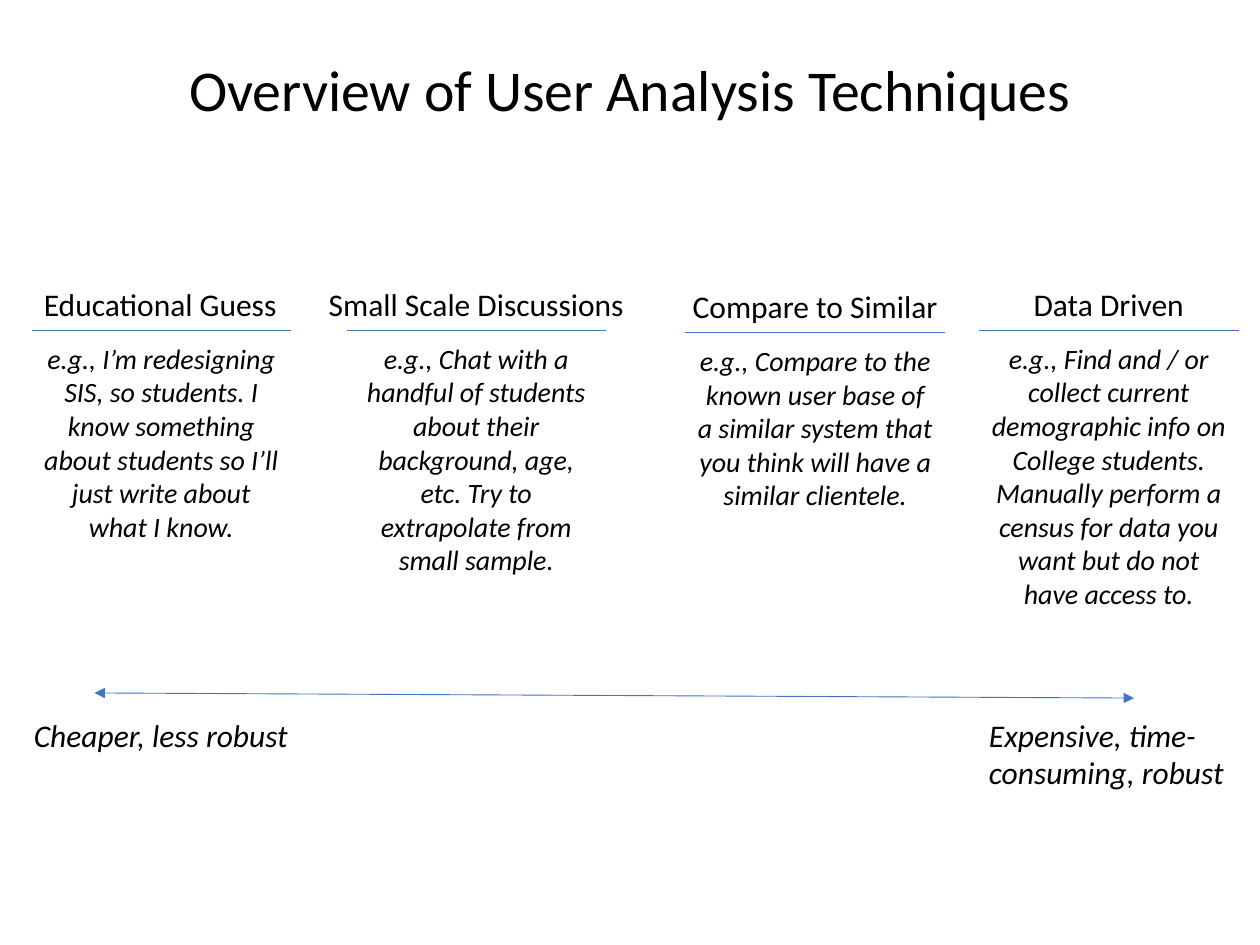
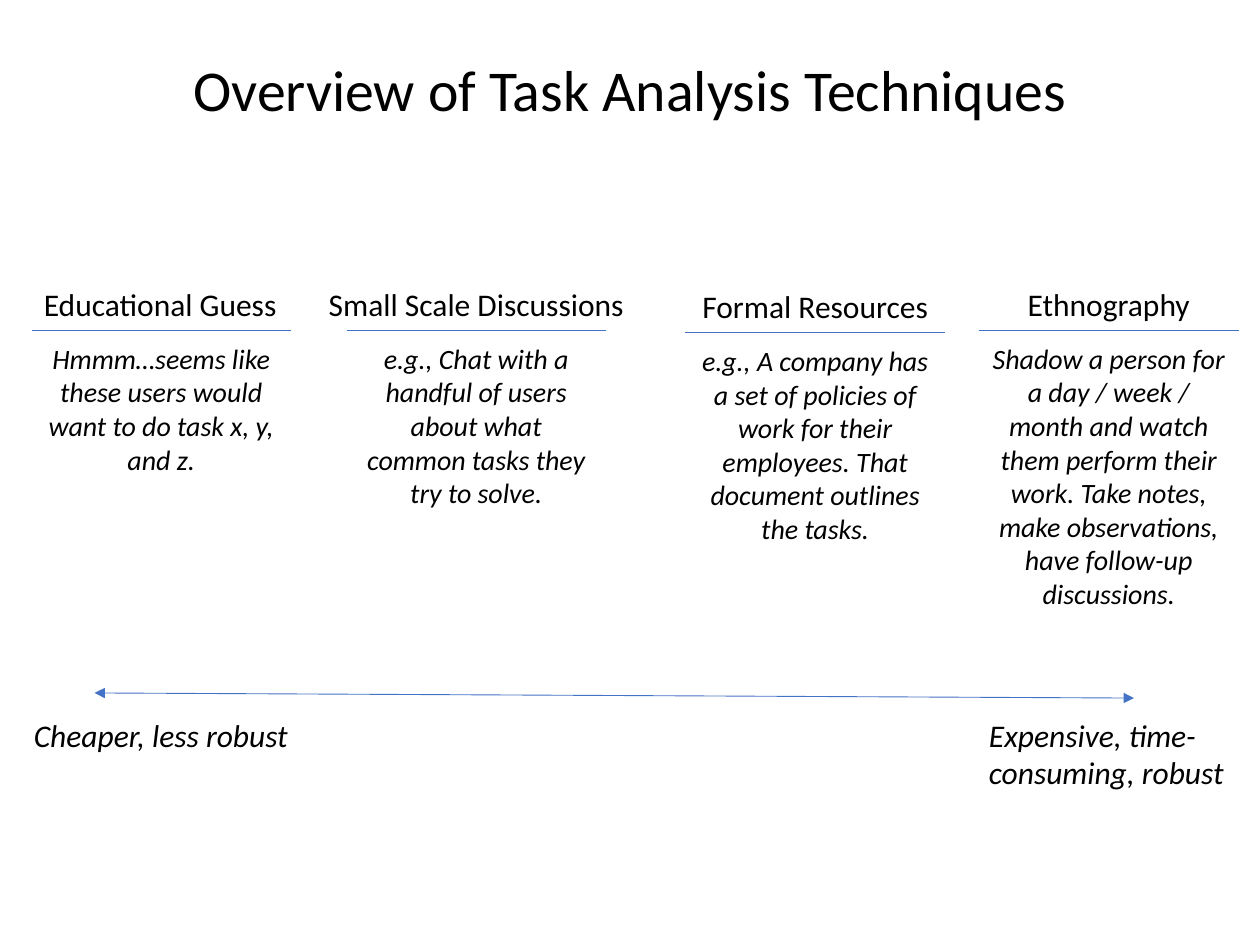
from lxml.etree import SubElement as Sub
from pptx import Presentation
from pptx.dml.color import RGBColor as Rgb
from pptx.enum.shapes import MSO_CONNECTOR as Link
from pptx.enum.text import MSO_ANCHOR as Anchor, MSO_AUTO_SIZE as Auto, PP_ALIGN as Align
from pptx.oxml.ns import qn
from pptx.util import Inches, Pt

WIDE, HIGH = Inches(10), Inches(7.5)
FONT = "Calibri"
HUES = {"text": "000000", "line": "4472C4", "back": "FFFFFF"}

# All lengths are percentages of the slide's width or height.
COL = 20.6
HEAD_Y, RULE_Y, BODY_Y = 29.47, 34.93, 35.47
PAD, ROW = 1.33, 3.6
COLUMNS = [
    {"left": 2.5, "side": Align.LEFT},
    {"left": 27.5, "extra": 2.5},
    {"left": 54.4, "extra": 2.5, "drop": 0.24},
    {"left": 77.7},
]

DECK = [
    ("Overview of User Analysis Techniques", [
        ("Educational Guess", 6,
         "e.g., I’m redesigning SIS, so students. I know something about "
         "students so I’ll just write about what I know."),
        ("Small Scale Discussions", 7,
         "e.g., Chat with a handful of students about their background, age, "
         "etc. Try to extrapolate from small sample."),
        ("Compare to Similar", 6,
         "e.g., Compare to the known user base of a similar system that you "
         "think will have a similar clientele."),
        ("Data Driven", 8,
         "e.g., Find and / or collect current demographic info on College "
         "students. Manually perform a census for data you want but do not "
         "have access to."),
    ]),
    ("Overview of Task Analysis Techniques", [
        ("Educational Guess", 4,
         "Hmmm…seems like these users would want to do task x, y, and z."),
        ("Small Scale Discussions", 5,
         "e.g., Chat with a handful of users about what common tasks they "
         "try to solve."),
        ("Formal Resources", 6,
         "e.g., A company has a set of policies of work for their employees. "
         "That document outlines the tasks."),
        ("Ethnography", 8,
         "Shadow a person for a day / week / month and watch them perform "
         "their work. Take notes, make observations, have follow-up "
         "discussions."),
    ]),
]


def place(x, y):
    return round(WIDE * x / 100), round(HIGH * y / 100)


def write(slide, words, x, y, w, h, size=18, side=Align.CENTER, slant=False,
          anchor=Anchor.TOP, lead=None, grow=True):
    box = slide.shapes.add_textbox(*place(x, y), *place(w, h))
    frame = box.text_frame
    frame.word_wrap = True
    frame.auto_size = Auto.SHAPE_TO_FIT_TEXT if grow else Auto.NONE
    frame.vertical_anchor = anchor
    para = frame.paragraphs[0]
    para.alignment = side
    if lead:
        para.line_spacing = lead
    run = para.add_run()
    run.text = words
    font = run.font
    font.name, font.size, font.italic = FONT, Pt(size), slant
    font.color.rgb = Rgb.from_string(HUES["text"])


def rule(slide, start, end, heads=False):
    link = slide.shapes.add_connector(Link.STRAIGHT, *place(*start), *place(*end))
    link.line.color.rgb = Rgb.from_string(HUES["line"])
    link.line.width = Pt(0.5)
    if heads:
        for tip in ("a:headEnd", "a:tailEnd"):
            Sub(link.line._get_or_add_ln(), qn(tip), type="triangle")
    Sub(link._element.spPr, qn("a:effectLst"))


def column(slide, head, rows, body, left, extra=0, drop=0, side=Align.CENTER):
    write(slide, head, left - extra, HEAD_Y + drop, COL + 2 * extra, 5.33, side=side)
    write(slide, body, left, BODY_Y + drop, COL, PAD + ROW * rows, size=16, slant=True)
    rule(slide, (left, RULE_Y + drop), (left + COL, RULE_Y + drop))


def scale(slide):
    rule(slide, (7.5, 73.33), (90, 73.87), heads=True)
    write(slide, "Cheaper, less robust", 1.7, 75.07, 23.3, 5.33,
          side=Align.LEFT, slant=True)
    write(slide, "Expensive, time-consuming, robust", 77.5, 75.07, 20.8, 9.47,
          side=Align.LEFT, slant=True)


def main():
    deck = Presentation()
    deck.slide_width, deck.slide_height = WIDE, HIGH
    for title, items in DECK:
        slide = deck.slides.add_slide(deck.slide_layouts[6])
        slide.background.fill.solid()
        slide.background.fill.fore_color.rgb = Rgb.from_string(HUES["back"])
        write(slide, title, 6.9, 5.33, 86.2, 9.07, size=33,
              anchor=Anchor.MIDDLE, lead=0.9, grow=False)
        scale(slide)
        for item, spot in zip(items, COLUMNS):
            column(slide, *item, **spot)
    deck.save("out.pptx")


if __name__ == "__main__":
    main()
